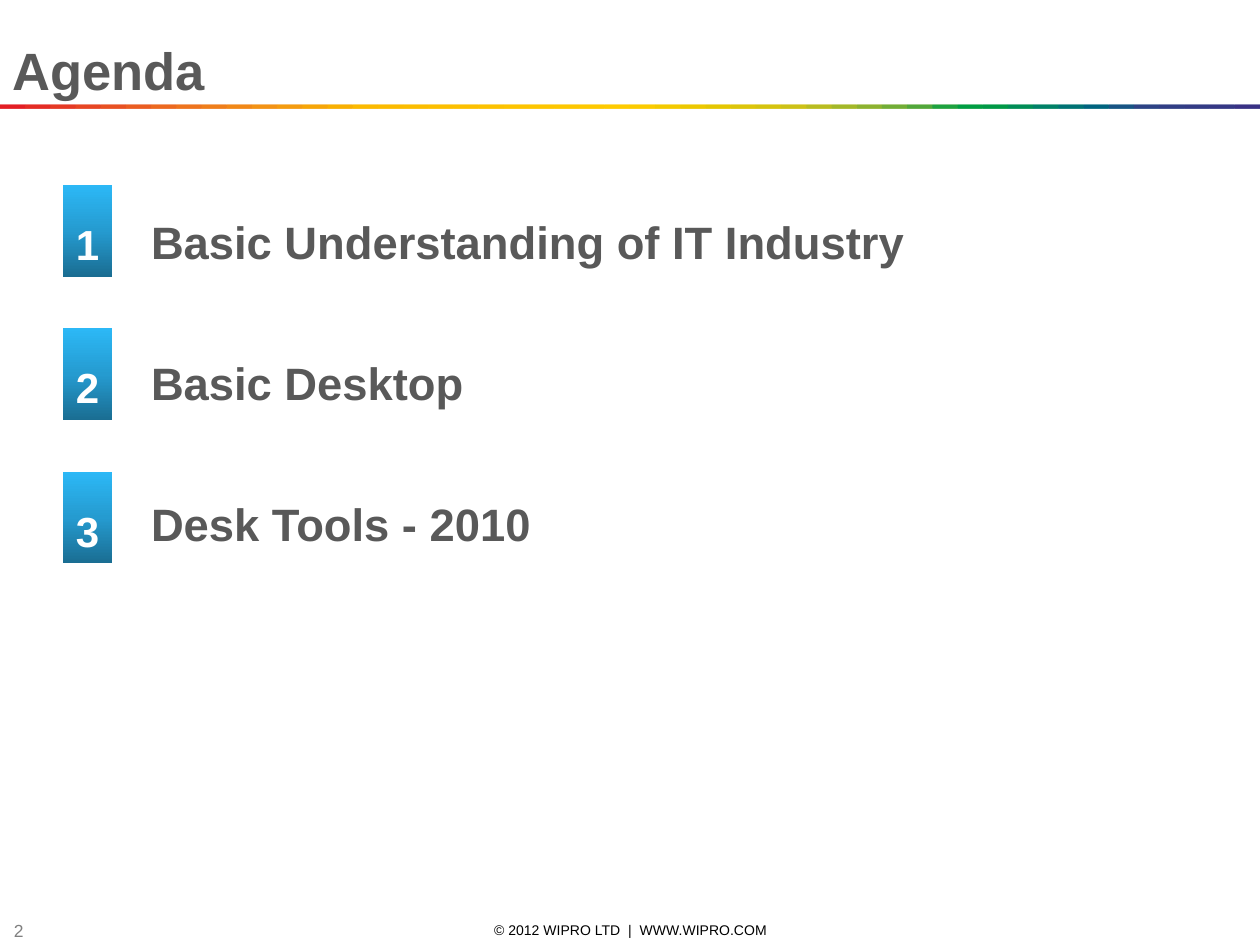
import copy

import pptx
import pptx.dml.color
import pptx.enum.shapes
import pptx.enum.text
import pptx.oxml
import pptx.oxml.ns
import pptx.util
from pptx.dml.color import RGBColor
from pptx.enum.text import MSO_ANCHOR, PP_ALIGN
from pptx.util import Cm

FONT = "Arial"
WIDTH, HEIGHT = 25.4, 19.05
WHITE = RGBColor(0xFF, 0xFF, 0xFF)
BLACK = RGBColor(0x00, 0x00, 0x00)
GREY = RGBColor(0x80, 0x80, 0x80)
DARK_GREY = RGBColor(0x59, 0x59, 0x59)
BADGE_BLUES = [RGBColor(0x1A, 0x6D, 0x92), RGBColor(0x25, 0x9B, 0xD0),
               RGBColor(0x2C, 0xB8, 0xF6)]
RAINBOW = [RGBColor.from_string(code) for code in """
    E31E24 E31E24 E42C24 E53A24 E74623 E85122 EA5D21 EC691F EE741D EF7E1A
    F18817 F39314 F49C0F F6A607 F8B002 FBBA00 FBBB00 FBBD00 FCBF00 FCC000
    FCC200 FDC400 FDC600 FDC700 FEC900 FECB00 FBCB00 F3CA00 ECC800 E4C602
    DCC50A D5C30E CCC117 B8BC21 A3B829 8CB230 71AD36 51A73B 1DA240 009D43
    009846 008C57 008068 007275 00637F 185384 2E4285 313E85 333B85 353885
    393185""".split()]
AGENDA = ["Basic Understanding of IT Industry", "Basic Desktop",
          "Desk Tools - 2010"]


def place(shape, left, top, width, height):
    shape.left, shape.top = Cm(left), Cm(top)
    shape.width, shape.height = Cm(width), Cm(height)


def set_text(shape, text, size, color, bold=False, align=PP_ALIGN.LEFT,
             anchor=MSO_ANCHOR.TOP, spacing=1.0):
    """Write one formatted paragraph without a bullet."""
    frame = shape.text_frame
    frame.word_wrap = True
    frame.auto_size = pptx.enum.text.MSO_AUTO_SIZE.NONE
    frame.vertical_anchor = anchor
    para = frame.paragraphs[0]
    para.text = text
    para.alignment = align
    para.line_spacing = spacing
    para.space_before = pptx.util.Pt(0)
    properties = para._p.get_or_add_pPr()
    properties.set("marL", "0")
    properties.set("indent", "0")
    properties.append(pptx.oxml.parse_xml(
        "<a:buNone %s/>" % pptx.oxml.ns.nsdecls("a")))
    font = para.font
    font.name, font.size, font.bold = FONT, pptx.util.Pt(size), bold
    font.color.rgb = color
    return para


def add_rectangle(shapes, left, top, width, height):
    box = shapes.add_shape(pptx.enum.shapes.MSO_SHAPE.RECTANGLE,
                           Cm(left), Cm(top), Cm(width), Cm(height))
    box.shadow.inherit = False
    box.line.fill.background()
    return box


def add_rainbow(page):
    """Overlapping strips, two steps wide, clipped to the page."""
    group = page.shapes.add_group_shape()
    step = WIDTH / (len(RAINBOW) - 1)
    for index, color in enumerate(RAINBOW):
        left = max(0, (index - 1) * step)
        right = min(WIDTH, (index + 1) * step)
        strip = add_rectangle(group.shapes, left, 2.11, right - left, 0.08)
        strip.fill.solid()
        strip.fill.fore_color.rgb = color


def add_badge(page, number, top):
    badge = add_rectangle(page.shapes, 1.27, top, 0.99, 1.85)
    badge.fill.gradient()
    badge.fill.gradient_angle = 90
    stop_list = badge._element.spPr.find(".//" + pptx.oxml.ns.qn("a:gsLst"))
    stop_list.append(copy.deepcopy(stop_list[-1]))
    for index, stop in enumerate(badge.fill.gradient_stops):
        stop.position = index / 2
        stop.color.rgb = BADGE_BLUES[index]
    badge.text_frame.margin_left = badge.text_frame.margin_right = 0
    set_text(badge, str(number), 24, WHITE, True, PP_ALIGN.CENTER,
             MSO_ANCHOR.MIDDLE, 1.5)


def add_footer(page):
    notice = page.shapes.add_textbox(Cm(8.69), Cm(18.54), Cm(8.05), Cm(0.41))
    notice.text_frame.margin_top = notice.text_frame.margin_bottom = 0
    set_text(notice, "© 2012 WIPRO LTD  |  WWW.WIPRO.COM", 8, BLACK,
             align=PP_ALIGN.CENTER, anchor=MSO_ANCHOR.MIDDLE)

    # Page number as a live field
    number = page.shapes.add_textbox(Cm(0.03), Cm(18.47), Cm(1.45), Cm(0.58))
    number.text_frame.margin_top = number.text_frame.margin_bottom = 0
    para = set_text(number, "", 10, GREY, anchor=MSO_ANCHOR.MIDDLE)
    field = pptx.oxml.parse_xml(
        '<a:fld %s id="{B6F15528-21DE-4FAA-801E-634DDDAF4B2B}" '
        'type="slidenum"><a:rPr lang="en-US" sz="1000"><a:solidFill>'
        '<a:srgbClr val="%s"/></a:solidFill><a:latin typeface="%s"/></a:rPr>'
        "<a:t>2</a:t></a:fld>" % (pptx.oxml.ns.nsdecls("a"), GREY, FONT))
    para._p.get_or_add_pPr().addnext(field)


def main():
    deck = pptx.Presentation()
    deck.slide_width, deck.slide_height = Cm(WIDTH), Cm(HEIGHT)
    deck.element.set("firstSlideNum", "2")
    # The comparison layout offers a title and four body placeholders
    page = deck.slides.add_slide(deck.slide_layouts[4])
    title, *bodies = list(page.placeholders)

    # Heading
    add_rainbow(page)
    place(title, 0, 0, WIDTH, 2.11)
    set_text(title, "Agenda", 30, DARK_GREY, True, spacing=1.5)

    # Agenda items with numbered badges
    for index, (body, item) in enumerate(zip(bodies, AGENDA)):
        place(body, 2.79, 3.76 + index * 2.84, 21.01, 1.8)
        set_text(body, item, 25.9, DARK_GREY, True, spacing=1.4)
        add_badge(page, index + 1, 3.73 + index * 2.89)
    for unused in bodies[len(AGENDA):]:
        unused._element.getparent().remove(unused._element)

    add_footer(page)
    deck.save("out.pptx")


if __name__ == "__main__":
    main()
